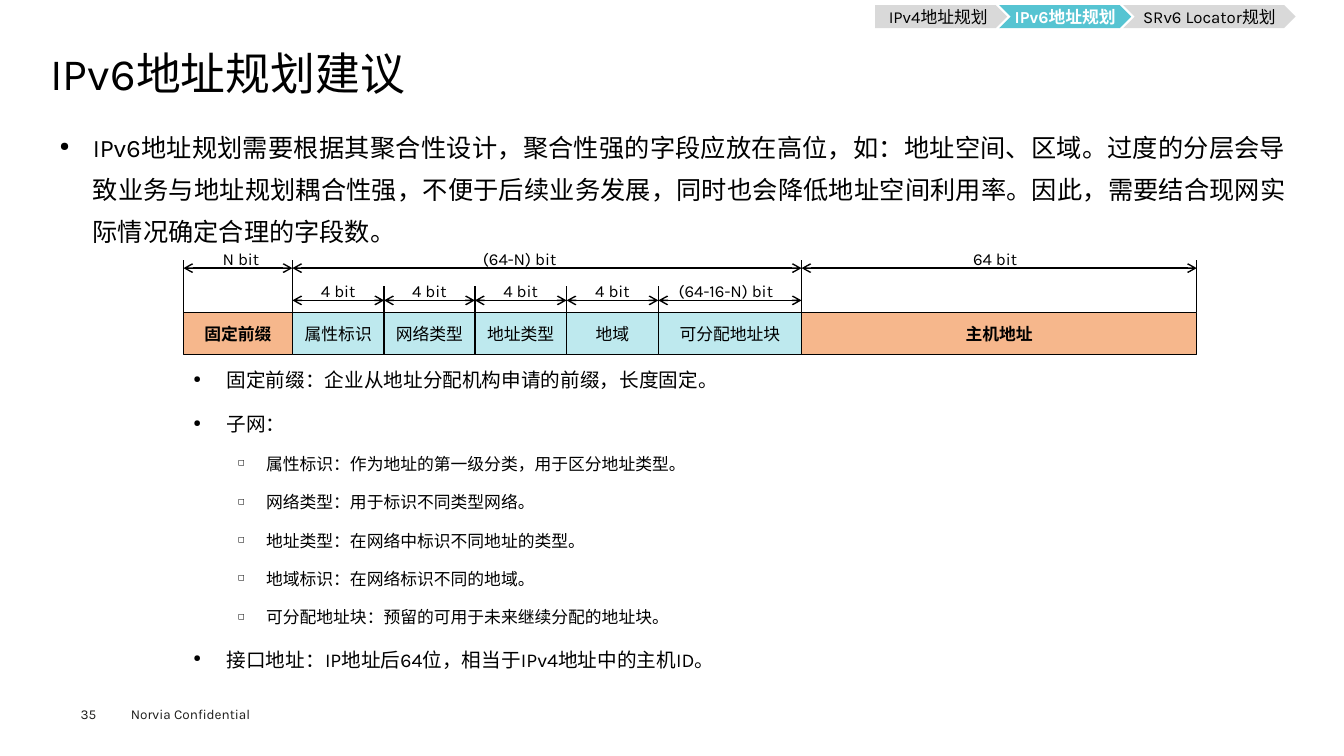
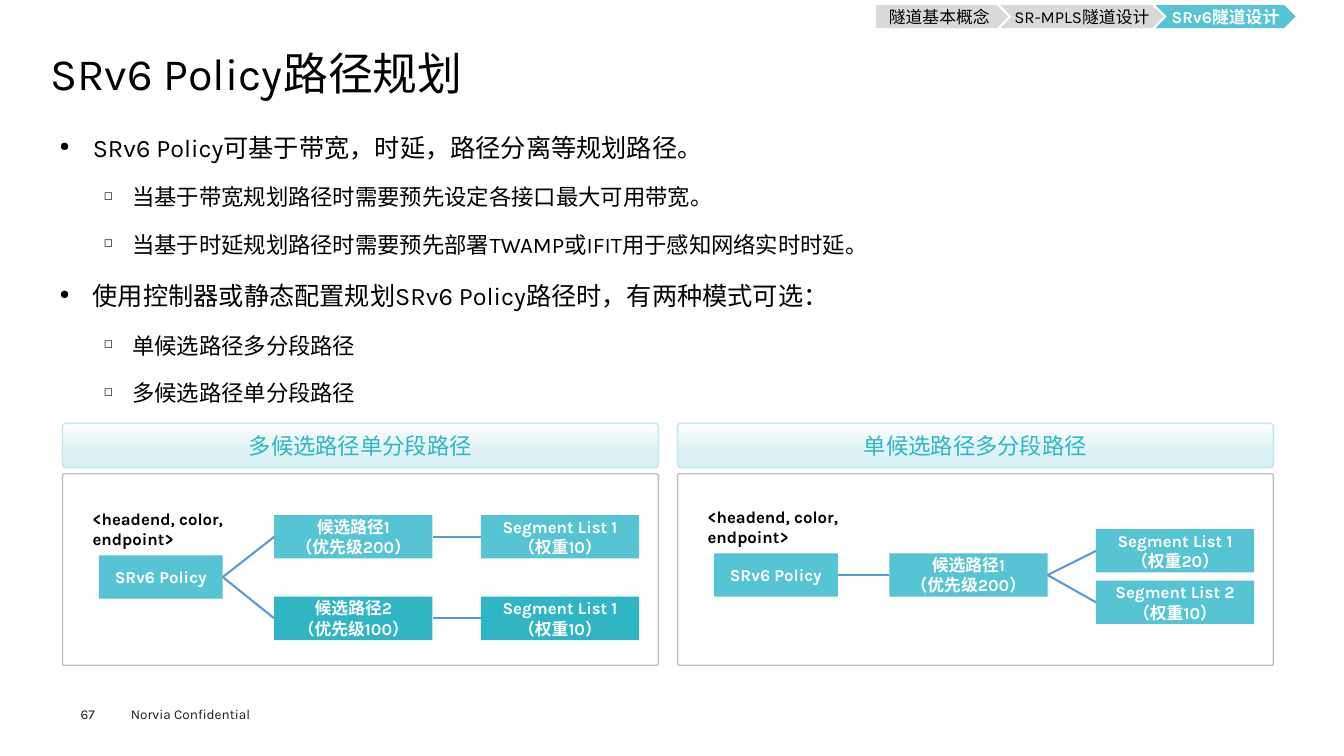
from dataclasses import dataclass
from itertools import accumulate

from lxml.etree import SubElement
from pptx import Presentation
from pptx.dml.color import RGBColor
from pptx.enum.shapes import MSO_CONNECTOR, MSO_SHAPE
from pptx.enum.text import MSO_ANCHOR, PP_ALIGN
from pptx.oxml.ns import qn
from pptx.util import Inches, Pt


@dataclass(frozen=True)
class Theme:
    font: str = "Karla"
    black: str = "000000"
    white: str = "FFFFFF"
    footer_ink: str = "1D1D1B"
    teal: str = "56C4D2"
    deep_teal: str = "30B5C5"
    pale_teal: str = "BEE9EE"
    orange: str = "F6B78C"
    grey: str = "D9D9D9"
    frame: str = "BFBFBF"
    link: str = "5B9BD5"
    title_size: float = 32
    body_size: float = 18
    sub_size: float = 16
    detail_size: float = 14
    label_size: float = 12
    footer_size: float = 9.7


THEME = Theme()
DEFAULT_INSETS = (0.1, 0.05)
NO_INSETS = (0, 0)
# Per level: left margin, hanging indent, space before, bullet, alignment
BULLETS = (
    (0.33, 0.33, 7.9, "●", PP_ALIGN.JUSTIFY),
    (0.72, 0.28, 7.2, "◻", PP_ALIGN.LEFT),
)


def color(code):
    return RGBColor.from_string(code)


def set_font(para, size, ink, bold=False):
    for span in para.runs:
        span.font.name = THEME.font
        span.font.size = Pt(size)
        span.font.bold = bold
        span.font.color.rgb = color(ink)


def write(shape, text, size=THEME.label_size, ink=THEME.black, bold=False,
          align=PP_ALIGN.CENTER, anchor=MSO_ANCHOR.MIDDLE, insets=DEFAULT_INSETS, wrap=True):
    frame = shape.text_frame
    frame.word_wrap = wrap
    frame.vertical_anchor = anchor
    frame.margin_left = frame.margin_right = Inches(insets[0])
    frame.margin_top = frame.margin_bottom = Inches(insets[1])
    frame.text = text
    for para in frame.paragraphs:
        para.alignment = align
        set_font(para, size, ink, bold)


def add_text(page, box, text, **style):
    shape = page.shapes.add_textbox(*map(Inches, box))
    style = {"align": PP_ALIGN.LEFT, "anchor": MSO_ANCHOR.TOP} | style
    write(shape, text, **style)
    return shape


def add_box(page, kind, box, fill=None, line=None):
    shape = page.shapes.add_shape(kind, *map(Inches, box))
    shape.shadow.inherit = False
    if fill:
        shape.fill.solid()
        shape.fill.fore_color.rgb = color(fill)
    else:
        shape.fill.background()
    if line:
        shape.line.color.rgb = color(line)
        shape.line.width = Pt(1)
    else:
        shape.line.fill.background()
    return shape


def add_line(page, start=(0, 0), end=(0, 0), ink=THEME.black, width=1, arrows=False):
    line = page.shapes.add_connector(MSO_CONNECTOR.STRAIGHT, *map(Inches, start + end))
    line.line.color.rgb = color(ink)
    line.line.width = Pt(width)
    if arrows:
        outline = line.line._get_or_add_ln()
        for tip in ("a:headEnd", "a:tailEnd"):
            SubElement(outline, qn(tip), type="arrow")
    SubElement(line.element.spPr, qn("a:effectLst"))
    return line


def add_bullets(page, box, items, sizes, insets=DEFAULT_INSETS):
    """Write (level, text) items, with one type size per level."""
    shape = add_text(page, box, "\n".join(text for _, text in items), insets=insets)
    for index, (para, (level, _)) in enumerate(zip(shape.text_frame.paragraphs, items)):
        margin, hanging, before, mark, align = BULLETS[level]
        para.alignment = align
        para.line_spacing = 1.4
        para.space_before = Pt(before if index else 0)
        properties = para._p.get_or_add_pPr()
        properties.set("marL", str(Inches(margin)))
        properties.set("indent", str(-Inches(hanging)))
        SubElement(properties, qn("a:buSzPct"), val="50000")
        SubElement(properties, qn("a:buChar"), char=mark)
        set_font(para, sizes[level], THEME.black)


def add_breadcrumb(page, steps, active, right=12.85, top=0.05, overlap=0.08):
    """Lay (text, width) steps so that the last one ends at the right edge."""
    left = right - sum(width for _, width in steps) + overlap * (len(steps) - 1)
    for index, (text, width) in enumerate(steps):
        current = index == active
        kind = MSO_SHAPE.CHEVRON if index else MSO_SHAPE.PENTAGON
        shape = add_box(page, kind, (left, top, width, 0.23),
                        THEME.teal if current else THEME.grey)
        write(shape, text, ink=THEME.white if current else THEME.black,
              bold=current, insets=NO_INSETS)
        left += width - overlap


def add_page(deck, title, number, steps, active):
    page = deck.slides.add_slide(deck.slide_layouts[6])
    add_text(page, (1.2, 6.95, 1.6, 0.27), "Norvia Confidential",
             size=THEME.footer_size, ink=THEME.footer_ink, wrap=False)
    add_text(page, (0.8, 7, 0.55, 0.16), number, size=THEME.footer_size,
             ink=THEME.footer_ink, insets=NO_INSETS)
    heading = add_text(page, (0.5, 0.49, 12.35, 0.53), title, size=THEME.title_size,
                       anchor=MSO_ANCHOR.MIDDLE, insets=NO_INSETS)
    heading.text_frame.paragraphs[0].line_spacing = 0.9
    add_breadcrumb(page, steps, active)
    return page


def add_span(page, start, end, y, label, center):
    """Draw a double arrow with its bit count above."""
    add_line(page, (start, y), (end, y), arrows=True)
    add_text(page, (center - 0.7, y - 0.24, 1.4, 0.3), label,
             align=PP_ALIGN.CENTER, wrap=False)


def add_address_format(page, left, top):
    """Draw the address fields with the bit spans above them."""
    fields = (
        ("固定前缀", 1.08), ("属性标识", 0.91), ("网络类型", 0.9), ("地址类型", 0.91),
        ("地域", 0.91), ("可分配地址块", 1.42), ("主机地址", 3.92),
    )
    edges = list(accumulate((width for _, width in fields), initial=left))
    row = top + 0.52
    for index, (text, width) in enumerate(fields):
        outer = index in (0, len(fields) - 1)
        shape = add_box(page, MSO_SHAPE.RECTANGLE, (edges[index], row, width, 0.42),
                        THEME.orange if outer else THEME.pale_teal, THEME.black)
        write(shape, text, bold=outer)
    for index, edge in enumerate(edges):
        tick = top + (0.26 if 2 <= index <= 5 else 0)
        add_line(page, (edge, row), (edge, tick))

    # First edge, last edge, arrow offset, label, label shift from the middle
    spans = [
        (0, 1, 0.08, "N bit", 0.03),
        (1, 6, 0.08, "(64-N) bit", -0.27),
        (6, 7, 0.08, "64 bit", -0.04),
        (5, 6, 0.4, "(64-16-N) bit", -0.04),
    ] + [(index, index + 1, 0.4, "4 bit", 0) for index in range(1, 5)]
    for first, last, offset, label, shift in spans:
        center = (edges[first] + edges[last]) / 2 + shift
        add_span(page, edges[first], edges[last], top + offset, label, center)


def add_path_panel(page, left, top, heading, policy_y, nodes, links):
    """Draw a titled panel; nodes are (column x, y, text, fill), node 0 is the policy."""
    header = add_box(page, MSO_SHAPE.ROUNDED_RECTANGLE, (left, top, 5.91, 0.44),
                     line=THEME.pale_teal)
    header.adjustments[0] = 0.08
    header.fill.gradient()
    header.fill.gradient_angle = 270
    for stop, code in zip(header.fill.gradient_stops, (THEME.white, THEME.pale_teal)):
        stop.color.rgb = color(code)
    last_color = header.element.spPr.xpath(".//a:gs/a:srgbClr")[-1]
    SubElement(last_color, qn("a:alpha"), val="60000")
    write(header, heading, size=THEME.sub_size, ink=THEME.deep_teal, insets=NO_INSETS)
    frame = add_box(page, MSO_SHAPE.ROUNDED_RECTANGLE, (left, top + 0.5, 5.91, 1.9),
                    line=THEME.frame)
    frame.adjustments[0] = 0.01

    add_text(page, (left + 0.2, top + policy_y - 0.51, 1.57, 0.5),
             "<headend, color, endpoint>", bold=True)
    policy = (0.36, policy_y, "SRv6 Policy", THEME.teal)
    shapes = []
    for x, y, text, fill in (policy, *nodes):
        width = 1.57 if shapes else 1.23
        shape = add_box(page, MSO_SHAPE.RECTANGLE, (left + x, top + y, width, 0.43), fill)
        write(shape, text, ink=THEME.white, bold=True)
        shapes.append(shape)
    for source, target in links:
        line = add_line(page, ink=THEME.link, width=1.5)
        line.begin_connect(shapes[source], 3)
        line.end_connect(shapes[target], 1)


def build_address_page(deck):
    steps = (("IPv4地址规划", 1.31), ("IPv6地址规划", 1.31), ("SRv6 Locator规划", 1.71))
    page = add_page(deck, "IPv6地址规划建议", "35", steps, active=1)
    add_bullets(page, (0.5, 1.15, 12.35, 1.33), [
        (0, "IPv6地址规划需要根据其聚合性设计，聚合性强的字段应放在高位，如：地址空间、区域。"
            "过度的分层会导致业务与地址规划耦合性强，不便于后续业务发展，同时也会降低地址空间利用率。"
            "因此，需要结合现网实际情况确定合理的字段数。"),
    ], (THEME.body_size,), insets=(0.09, 0.04))
    add_address_format(page, 1.82, 2.58)
    add_bullets(page, (1.82, 3.51, 10.05, 3.22), [
        (0, "固定前缀：企业从地址分配机构申请的前缀，长度固定。"),
        (0, "子网："),
        (1, "属性标识：作为地址的第一级分类，用于区分地址类型。"),
        (1, "网络类型：用于标识不同类型网络。"),
        (1, "地址类型：在网络中标识不同地址的类型。"),
        (1, "地域标识：在网络标识不同的地域。"),
        (1, "可分配地址块：预留的可用于未来继续分配的地址块。"),
        (0, "接口地址：IP地址后64位，相当于IPv4地址中的主机ID。"),
    ], (THEME.detail_size, THEME.label_size))


def build_policy_page(deck):
    steps = (("隧道基本概念", 1.31), ("SR-MPLS隧道设计", 1.62), ("SRv6隧道设计", 1.39))
    page = add_page(deck, "SRv6 Policy路径规划", "67", steps, active=2)
    add_bullets(page, (0.5, 1.15, 12.35, 3.04), [
        (0, "SRv6 Policy可基于带宽，时延，路径分离等规划路径。"),
        (1, "当基于带宽规划路径时需要预先设定各接口最大可用带宽。"),
        (1, "当基于时延规划路径时需要预先部署TWAMP或IFIT用于感知网络实时时延。"),
        (0, "使用控制器或静态配置规划SRv6 Policy路径时，有两种模式可选："),
        (1, "单候选路径多分段路径"),
        (1, "多候选路径单分段路径"),
    ], (THEME.body_size, THEME.sub_size), insets=(0.09, 0.04))

    path_x, list_x = 2.1, 4.15
    add_path_panel(page, 0.62, 4.2, "多候选路径单分段路径", 1.31, (
        (path_x, 0.91, "候选路径1\n（优先级200）", THEME.teal),
        (path_x, 1.72, "候选路径2\n（优先级100）", THEME.deep_teal),
        (list_x, 0.91, "Segment List 1\n（权重10）", THEME.teal),
        (list_x, 1.72, "Segment List 1\n（权重10）", THEME.deep_teal),
    ), ((0, 1), (0, 2), (1, 3), (2, 4)))
    add_path_panel(page, 6.72, 4.2, "单候选路径多分段路径", 1.29, (
        (path_x, 1.29, "候选路径1\n（优先级200）", THEME.teal),
        (list_x, 1.05, "Segment List 1\n（权重20）", THEME.teal),
        (list_x, 1.56, "Segment List 2\n（权重10）", THEME.teal),
    ), ((0, 1), (1, 2), (1, 3)))


def main():
    deck = Presentation()
    deck.slide_width = Inches(13.33)
    deck.slide_height = Inches(7.5)
    build_address_page(deck)
    build_policy_page(deck)
    deck.save("out.pptx")


if __name__ == "__main__":
    main()
